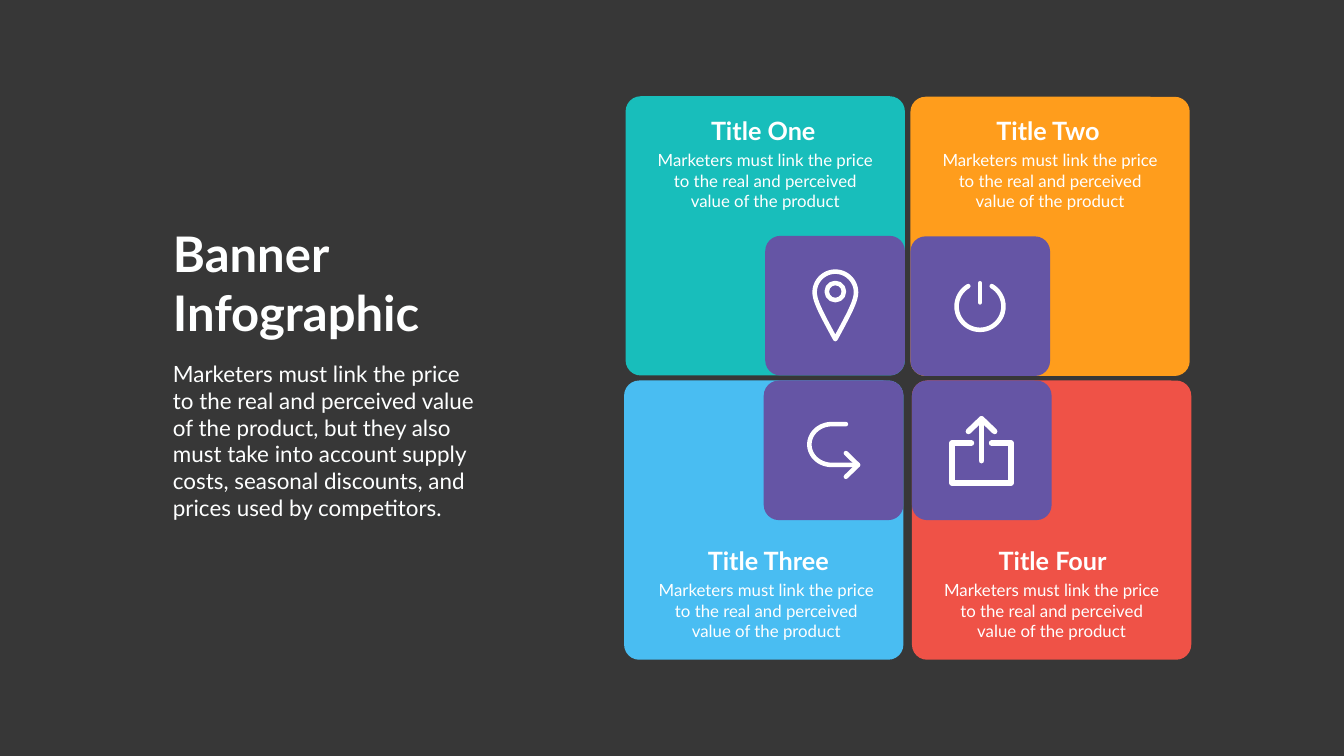
"""Builds a banner infographic slide with four titled panels and line icons."""
from math import cos, radians, sin

from lxml.etree import SubElement
from pptx import Presentation
from pptx.dml.color import RGBColor
from pptx.enum.shapes import MSO_CONNECTOR, MSO_SHAPE
from pptx.enum.text import MSO_ANCHOR, MSO_AUTO_SIZE, PP_ALIGN
from pptx.oxml.ns import qn
from pptx.util import Inches, Pt

WHITE = "FFFFFF"
PURPLE = "6555A5"
PANEL, TILE, CORNER = 5.54, 2.77, 0.3
PANEL_TEXT = "Marketers must link the price to the real and perceived value of the product"
BANNER_TEXT = (
    "Marketers must link the price to the real and perceived value of the product, "
    "but they also must take into account supply costs, seasonal discounts, "
    "and prices used by competitors."
)


def color(hex_string):
    return RGBColor.from_string(hex_string)


def write(frame, text, size, hue=WHITE, bold=False, align=PP_ALIGN.LEFT, wrap=True):
    frame.word_wrap = wrap
    frame.auto_size = MSO_AUTO_SIZE.NONE
    frame.vertical_anchor = MSO_ANCHOR.TOP
    frame.text = text
    for paragraph in frame.paragraphs:
        properties = paragraph._p.get_or_add_pPr()
        properties.set("marL", "0")
        properties.set("indent", "0")
        SubElement(properties, qn("a:buNone"))
        paragraph.alignment = align
        paragraph.space_before = Pt(0)
        paragraph.font.name = "Lato"
        paragraph.font.size = Pt(size)
        paragraph.font.bold = bold
        paragraph.font.color.rgb = color(hue)


def arc(x, y, radius_x, radius_y, start, end, steps=40):
    angles = [radians(start + (end - start) * i / steps) for i in range(steps + 1)]
    return [(x + radius_x * cos(a), y + radius_y * sin(a)) for a in angles]


def bezier(a, b, c, d, steps=20):
    curve = []
    for i in range(steps + 1):
        t = i / steps
        weights = ((1 - t) ** 3, 3 * t * (1 - t) ** 2, 3 * t * t * (1 - t), t ** 3)
        curve.append(tuple(sum(w * p[k] for w, p in zip(weights, (a, b, c, d))) for k in (0, 1)))
    return curve


class Banner:
    """Holds the slide and the style of its panels, text and icon strokes."""

    def __init__(self, slide, background):
        self.slide = slide
        self.shapes = slide.shapes
        slide.background.fill.solid()
        slide.background.fill.fore_color.rgb = color(background)

    def placeholder(self, index, left, top, width, height, text, **style):
        holder = self.slide.placeholders[index]
        holder.left, holder.top = Inches(left), Inches(top)
        holder.width, holder.height = Inches(width), Inches(height)
        write(holder.text_frame, text, **style)

    def text(self, left, top, width, height, text, **style):
        box = self.shapes.add_textbox(Inches(left), Inches(top), Inches(width), Inches(height))
        write(box.text_frame, text, **style)

    def square(self, left, top, side, hue):
        square = self.shapes.add_shape(
            MSO_SHAPE.ROUNDED_RECTANGLE, Inches(left), Inches(top), Inches(side), Inches(side))
        square.adjustments[0] = CORNER / side
        square.shadow.inherit = False
        square.fill.solid()
        square.fill.fore_color.rgb = color(hue)
        square.line.fill.background()

    def ink(self, outline, weight):
        outline.line.width = Pt(weight)
        outline.line.color.rgb = color(WHITE)
        line = outline._element.spPr.find(qn("a:ln"))
        line.set("cap", "rnd")
        SubElement(line, qn("a:round"))

    def stroke(self, points, weight=6.5, close=False):
        start, *rest = [(Inches(x), Inches(y)) for x, y in points]
        builder = self.shapes.build_freeform(*start)
        builder.add_line_segments(rest, close=close)
        outline = builder.convert_to_shape()
        outline.shadow.inherit = False
        outline.fill.background()
        self.ink(outline, weight)

    def stem(self, x, top, bottom, weight=6.5):
        stem = self.shapes.add_connector(
            MSO_CONNECTOR.STRAIGHT, Inches(x), Inches(top), Inches(x), Inches(bottom))
        self.ink(stem, weight)
        SubElement(stem._element.spPr, qn("a:effectLst"))

    def ring(self, x, y, radius, weight=6.5):
        ring = self.shapes.add_shape(
            MSO_SHAPE.OVAL, Inches(x - radius), Inches(y - radius),
            Inches(2 * radius), Inches(2 * radius))
        ring.shadow.inherit = False
        ring.fill.background()
        self.ink(ring, weight)

    def pin_icon(self, x=16.57, y=5.8, radius=0.41):
        tip = (x, 6.73)
        right = bezier((x + radius, y), (x + radius, 5.98), (x + 0.26, 6.25), tip)
        left = [(2 * x - px, py) for px, py in reversed(right)]
        self.stroke(arc(x, y, radius, radius, 180, 360) + right[1:] + left[1:-1], close=True)
        self.ring(x, 5.785, 0.17)

    def power_icon(self, x=19.44, y=6.08, radius=0.465):
        self.stroke(arc(x, y, radius, radius, -60, 240))
        self.stem(x, 5.62, 6)

    def return_icon(self, x=16.5, y=8.82, tip=17.02):
        bend = arc(x, y, 0.445, 0.405, 270, 90)
        self.stroke([(16.78, y - 0.405), *bend, (tip, y + 0.405)])
        self.stroke([(16.78, 8.99), (tip, y + 0.405), (16.78, 9.46)])

    def share_icon(self, x=19.47, tip=8.31):
        tray = [(-0.2, 8.79), (-0.585, 8.79), (-0.585, 9.58),
                (0.585, 9.58), (0.585, 8.79), (0.2, 8.79)]
        self.stroke([(x + dx, y) for dx, y in tray], weight=8)
        self.stroke([(x - 0.26, 8.56), (x, tip), (x + 0.26, 8.56)], weight=8)
        self.stem(x, tip, 9.14, weight=8)


def main():
    deck = Presentation()
    deck.slide_width, deck.slide_height = Inches(26.66), Inches(15)
    banner = Banner(deck.slides.add_slide(deck.slide_layouts[1]), "373737")
    banner.placeholder(0, 3.33, 4.39, 5.22, 2.46, "Banner\nInfographic",
                       size=70, hue="FEFFFF", bold=True, wrap=False)
    banner.placeholder(1, 3.33, 7.09, 6.28, 3.33, BANNER_TEXT, size=32, hue="FEFFFF")

    inner = PANEL - TILE
    panels = [
        ("Title Three", "49BDF2", 12.38, 7.55, inner, 0, 15.24, 15.2, 10.77),
        ("Title One", "18BEBB", 12.41, 1.91, inner, inner, 15.14, 15.18, 2.24),
        ("Title Four", "EF5247", 18.09, 7.55, 0, 0, 20.88, 20.86, 10.77),
        ("Title Two", "FF9D1C", 18.06, 1.92, 0, inner, 20.79, 20.83, 2.24),
    ]
    for title, hue, left, top, tile_x, tile_y, title_center, text_center, title_top in panels:
        banner.square(left, top, PANEL, hue)
        banner.square(left + tile_x, top + tile_y, TILE, PURPLE)
        banner.text(title_center - 1.5, title_top, 3, 0.71, title,
                    size=36, bold=True, align=PP_ALIGN.CENTER)
        banner.text(text_center - 2.265, title_top + 0.69, 4.53, 1.31, PANEL_TEXT,
                    size=24, align=PP_ALIGN.CENTER)

    banner.pin_icon()
    banner.power_icon()
    banner.return_icon()
    banner.share_icon()
    deck.save("out.pptx")


if __name__ == "__main__":
    main()
